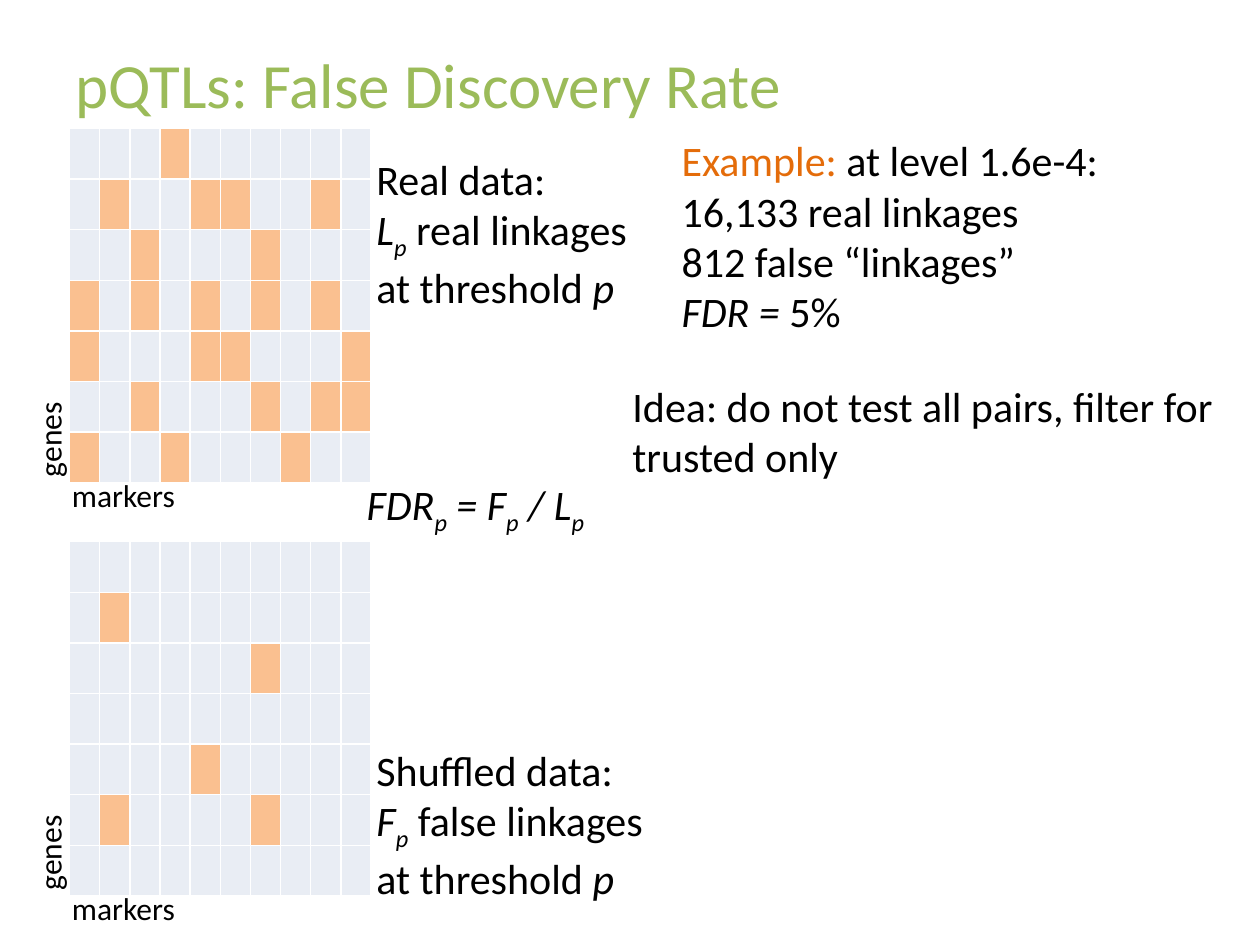
"""Build the slide on the false discovery rate of pQTLs."""
from pptx import Presentation
from pptx.dml.color import RGBColor
from pptx.enum.text import MSO_ANCHOR as ANCHOR
from pptx.util import Cm, Pt


def rgb(value):
    return RGBColor.from_string(value)


def add_text(box, paragraphs, size=24, color="000000"):
    s = prs.slides[0].shapes.add_textbox(*[Cm(v) for v in box])
    tf = s.text_frame
    tf.word_wrap = True
    for i, runs in enumerate(paragraphs):
        p = tf.paragraphs[0] if i == 0 else tf.add_paragraph()
        for text, style in runs:
            r = p.add_run()
            r.text = text
            r.font.name = "Calibri"
            r.font.size = Pt(size)
            r.font.italic = style in ("italic", "sub")
            r.font.color.rgb = rgb(ORANGE if style == "accent" else color)
            if style == "sub":
                r._r.get_or_add_rPr().set("baseline", "-25000")
    return s


GREEN, ORANGE = "9BBB59", "E46C0A"
CELL, LINKAGE = "E9EDF4", "FAC090"
ROWS, COLS = 7, 10
COL_W, ROW_H = 0.58, 1.02

prs = Presentation()
prs.slide_width, prs.slide_height = Cm(25.4), Cm(19.05)
sp = prs.slides.add_slide(prs.slide_layouts[6]).shapes

title = add_text((1.27, 0.76, 22.86, 1.83),
                 [[("pQTLs: False Discovery Rate", "")]], 36, GREEN)
title.text_frame.vertical_anchor = ANCHOR.MIDDLE

real = [{3}, {1, 4, 5, 8}, {2, 6}, {0, 2, 4, 6, 8},
        {0, 4, 5, 9}, {2, 6, 8, 9}, {0, 3, 7}]
shuffled = [set(), {1}, {6}, set(), {4}, {1, 6}, set()]

for top, linkages in ((2.59, real), (10.92, shuffled)):
    table = sp.add_table(ROWS, COLS, Cm(1.4), Cm(top),
                         Cm(COLS * COL_W), Cm(ROWS * ROW_H)).table
    table.first_row = False
    table.horz_banding = False
    for col in table.columns:
        col.width = Cm(COL_W)
    for row, linked in zip(table.rows, linkages):
        row.height = Cm(ROW_H)
        for i, cell in enumerate(row.cells):
            cell.fill.solid()
            cell.fill.fore_color.rgb = rgb(LINKAGE if i in linked else CELL)
    add_text((1.2, top + 6.88, 3.58, 1.02), [[("markers", "")]], 18)
    genes = add_text((-0.29, top + 5.48, 2.57, 1.02), [[("genes", "")]], 18)
    genes.rotation = 270

for top, width, heading, symbol, kind in (
        (2.97, 5.77, "Real data:", "L", " real linkages"),
        (14.88, 6.15, "Shuffled data:", "F", " false linkages")):
    add_text((7.34, top, width, 3.33), [
        [(heading, "")],
        [(symbol, "italic"), ("p", "sub"), (kind, "")],
        [("at threshold ", ""), ("p", "italic")],
    ])

add_text((13.49, 2.59, 10.92, 5.38), [
    [("Example: ", "accent"), ("at level 1.6e-4:", "")],
    [("16,133 real linkages", "")],
    [("812 false “linkages”", "")],
    [("FDR = ", "italic"), ("5%", "")],
])

add_text((7.14, 9.53, 5.56, 1.27), [
    [("FDR", "italic"), ("p", "sub"), (" = F", "italic"), ("p", "sub"),
     (" / L", "italic"), ("p", "sub")],
])

add_text((12.5, 7.54, 12.9, 3.33), [
    [("Idea: do not test all pairs, filter for trusted only", "")],
])

prs.save("out.pptx")
